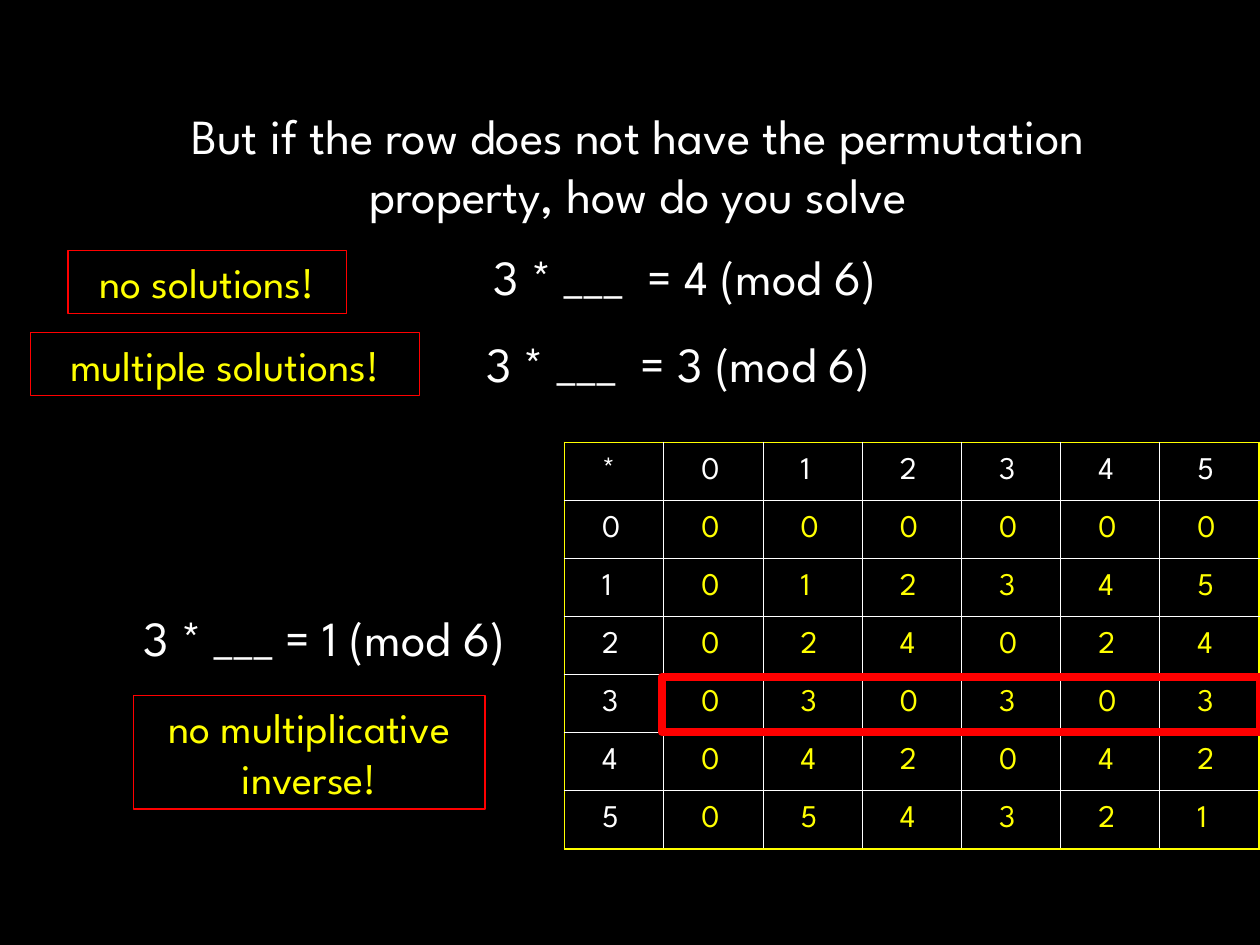
from lxml import etree
from pptx import Presentation
from pptx import util as u
from pptx.dml.color import RGBColor
from pptx.enum import shapes, text
from pptx.oxml.ns import qn

FONT = "League Spartan"
BLACK, WHITE, YELLOW, RED = "000000", "FFFFFF", "FFFF00", "FF0000"
MODULUS = 6


def rgb(value):
    return RGBColor.from_string(value)


def style_paragraph(p, size, color):
    p.font.name = FONT
    p.font.size = u.Pt(size)
    p.font.color.rgb = rgb(color)


def write_lines(sp, lines, size, color):
    """Fill a shape with centred, unwrapped paragraphs."""
    tf = sp.text_frame
    tf.text = "\n".join(lines)
    tf.word_wrap = False
    tf.auto_size = text.MSO_AUTO_SIZE.SHAPE_TO_FIT_TEXT
    tf.vertical_anchor = text.MSO_ANCHOR.TOP
    for p in tf.paragraphs:
        p.alignment = text.PP_ALIGN.CENTER
        style_paragraph(p, size, color)


def add_statement(slide, box, *lines):
    sp = slide.shapes.add_textbox(*map(u.Cm, box))
    write_lines(sp, lines, 28, WHITE)


def add_frame(slide, box, width):
    """Add an unfilled rectangle with a red outline."""
    sp = slide.shapes.add_shape(shapes.MSO_SHAPE.RECTANGLE, *map(u.Cm, box))
    sp.shadow.inherit = False
    sp.fill.background()
    sp.line.color.rgb = rgb(RED)
    sp.line.width = u.Pt(width)
    return sp


def add_answer(slide, box, *lines):
    write_lines(add_frame(slide, box, 0.75), lines, 24, YELLOW)


def set_border(cell, side, outer):
    """Draw one cell side: yellow on the table's edge, white inside."""
    color, width = (YELLOW, 1.08) if outer else (WHITE, 0.45)
    ln = etree.SubElement(cell._tc.get_or_add_tcPr(), qn(f"a:ln{side}"),
                          w=str(u.Pt(width)))
    fill = etree.SubElement(ln, qn("a:solidFill"))
    etree.SubElement(fill, qn("a:srgbClr"), val=color)


def style_cell(cell, value, color):
    cell.fill.solid()
    cell.fill.fore_color.rgb = rgb(BLACK)
    cell.margin_left = cell.margin_right = u.Cm(0.76)
    cell.margin_top = cell.margin_bottom = u.Cm(0.13)
    cell.vertical_anchor = text.MSO_ANCHOR.MIDDLE
    cell.text = str(value)
    p = cell.text_frame.paragraphs[0]
    p.space_before = u.Pt(4.5)
    style_paragraph(p, 18, color)


def add_multiplication_table(slide, left, top, col_width, row_height):
    n = MODULUS + 1
    digits = range(MODULUS)
    rows = [["*", *digits]]
    rows += [[a, *(a * b % MODULUS for b in digits)] for a in digits]
    table = slide.shapes.add_table(n, n, u.Cm(left), u.Cm(top),
                                   u.Cm(n * col_width),
                                   u.Cm(n * row_height)).table
    table.first_row = table.horz_banding = False
    for i, row in enumerate(rows):
        table.rows[i].height = u.Cm(row_height)
        table.columns[i].width = u.Cm(col_width)
        for j, value in enumerate(row):
            cell = table.cell(i, j)
            edges = {"L": j == 0, "R": j == n - 1,
                     "T": i == 0, "B": i == n - 1}
            for side, outer in edges.items():
                set_border(cell, side, outer)
            style_cell(cell, value, YELLOW if i and j else WHITE)


def main():
    prs = Presentation()
    prs.slide_width, prs.slide_height = u.Cm(25.4), u.Cm(19.05)
    slide = prs.slides.add_slide(prs.slide_layouts[6])
    slide.background.fill.solid()
    slide.background.fill.fore_color.rgb = rgb(BLACK)

    add_statement(slide, (2.16, 2.01, 21.41, 2.64),
                  "But if the row does not have the permutation",
                  "property, how do you solve")
    add_statement(slide, (9.25, 4.85, 9.12, 1.45), "3 * ___  = 4 (mod 6)")
    add_multiplication_table(slide, 11.38, 8.92, 2, 1.17)
    add_frame(slide, (13.34, 13.64, 12.06, 1.12), 4.5)
    add_statement(slide, (9.12, 6.6, 9.12, 1.45), "3 * ___  = 3 (mod 6)")
    add_answer(slide, (1.37, 5.05, 5.61, 1.27), "no solutions!")
    add_answer(slide, (0.61, 6.71, 7.85, 1.27), "multiple solutions!")
    add_statement(slide, (2.11, 12.12, 8.86, 1.45), "3 * ___ = 1 (mod 6)")
    add_answer(slide, (2.69, 14.02, 7.09, 2.29),
               "no multiplicative", "inverse!")

    prs.save("out.pptx")


if __name__ == "__main__":
    main()
